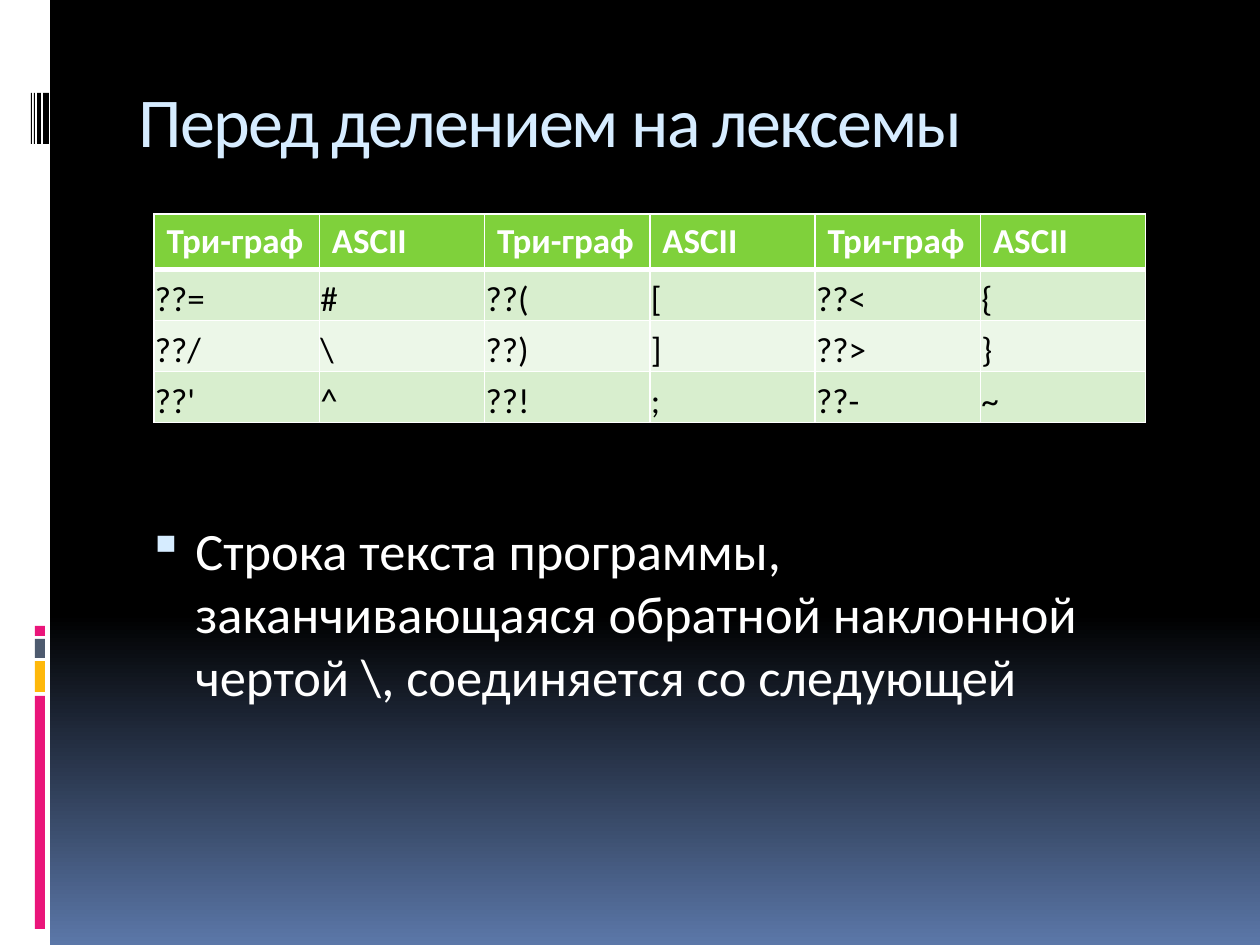
from lxml.etree import SubElement
from pptx import Presentation
from pptx.dml.color import RGBColor
from pptx.enum.shapes import MSO_SHAPE
from pptx.enum.text import MSO_ANCHOR, MSO_AUTO_SIZE, PP_ALIGN
from pptx.oxml.ns import qn
from pptx.util import Emu, Pt

# Content
TITLE = "Перед делением на лексемы"
BODY = "Строка текста программы, заканчивающаяся обратной наклонной чертой \\, соединяется со следующей"
TRIGRAPHS = [
    ["Три-граф", "ASCII"] * 3,
    ["??=", "#", "??(", "[", "??<", "{"],
    ["??/", "\\", "??)", "]", "??>", "}"],
    ["??'", "^", "??!", ";", "??-", "~"],
]

THEME = {
    "font": "Calibri", "title_size": 40, "body_size": 30, "table_size": 20,
    "white": "FFFFFF", "black": "000000", "sky": "D6ECFF", "horizon": "5B77A8",
    "pink": "EA157A", "amber": "FEB80A", "slate": "4E5B6F",
    "header": "7FD13B", "odd_row": "D8EECE", "even_row": "ECF7E8",
}

# Side decoration: left, top, width, height, colour
SIDE_BARS = [
    (0, 0, 50, 945, "white"),
    (35, 696, 10, 233, "pink"),
    (35, 661, 10, 31, "amber"),
    (35, 639, 10, 19, "slate"),
    (35, 626, 10, 10, "pink"),
] + [(left, 93, width, 51, "black")
     for left, width in [(43, 6), (37, 4), (34, 1), (31, 1)]]

TITLE_BOX = (126, 71, 1071, 126)
BODY_BOX = (126, 512, 1071, 364)
TABLE_LEFT, TABLE_TOP, TABLE_WIDTH = 154, 214, 992
HEADER_HEIGHT, ROW_HEIGHT = 55, 51
BULLET_INDENT, BULLET_HANG = 57, 48


def px(length):
    return Emu(round(length * 914400 / 126))


def colour(key):
    return RGBColor.from_string(THEME[key])


def style(paragraph, size, key, bold=False):
    font = paragraph.font
    font.name, font.size, font.bold = THEME["font"], Pt(THEME[size]), bold
    font.color.rgb = colour(key)


def place(box, bounds):
    box.left, box.top, box.width, box.height = map(px, bounds)
    frame = box.text_frame
    frame.word_wrap = True
    frame.auto_size = MSO_AUTO_SIZE.NONE
    frame.vertical_anchor = MSO_ANCHOR.TOP
    return frame


def add_colour(parent, key):
    SubElement(parent, qn("a:srgbClr"), val=THEME[key])


def set_borders(cell, widths):
    properties = cell._tc.get_or_add_tcPr()
    for index, (side, points) in enumerate(widths.items()):
        line = SubElement(properties, qn("a:" + side), w=str(Pt(points)))
        add_colour(SubElement(line, qn("a:solidFill")), "white")
        properties.insert(index, line)


prs = Presentation()
prs.slide_width, prs.slide_height = px(1260), px(945)
slide = prs.slides.add_slide(prs.slide_layouts[5])

# Background
sky_fill = slide.background.fill
sky_fill.gradient()
sky_fill.gradient_angle = 270
for stop, position, key in zip(sky_fill.gradient_stops, (0.65, 1), ("black", "horizon")):
    stop.position = position
    stop.color.rgb = colour(key)

# Side decoration
for *bounds, key in SIDE_BARS:
    bar = slide.shapes.add_shape(MSO_SHAPE.RECTANGLE, *map(px, bounds))
    bar.shadow.inherit = False
    bar.fill.solid()
    bar.fill.fore_color.rgb = colour(key)
    bar.line.fill.background()

# Title
title_frame = place(slide.shapes.title, TITLE_BOX)
title_frame.text = TITLE
heading = title_frame.paragraphs[0]
heading.alignment = PP_ALIGN.LEFT
style(heading, "title_size", "sky")
heading._p.pPr.find(qn("a:defRPr")).set("spc", "-100")

# Bulleted text
body_frame = place(slide.shapes.add_textbox(0, 0, 0, 0), BODY_BOX)
body_frame.text = BODY
statement = body_frame.paragraphs[0]
style(statement, "body_size", "white")
statement.space_before = Pt(7)
bullet = statement._p.get_or_add_pPr()
bullet.set("marL", str(px(BULLET_INDENT)))
bullet.set("indent", str(-px(BULLET_HANG)))
bullet_parts = [SubElement(bullet, qn("a:buClr")),
                SubElement(bullet, qn("a:buSzPct"), val="95000"),
                SubElement(bullet, qn("a:buChar"), char="▪")]
add_colour(bullet_parts[0], "sky")
for part in bullet_parts:
    bullet.find(qn("a:defRPr")).addprevious(part)

# Trigraph table
row_heights = [HEADER_HEIGHT] + [ROW_HEIGHT] * (len(TRIGRAPHS) - 1)
table = slide.shapes.add_table(
    len(TRIGRAPHS), len(TRIGRAPHS[0]), px(TABLE_LEFT), px(TABLE_TOP),
    px(TABLE_WIDTH), px(sum(row_heights))).table
for column in table.columns:
    column.width = px(TABLE_WIDTH / len(TRIGRAPHS[0]))
for r, (values, height) in enumerate(zip(TRIGRAPHS, row_heights)):
    table.rows[r].height = px(height)
    is_header = r == 0
    fill_key = "header" if is_header else "odd_row" if r % 2 else "even_row"
    for c, value in enumerate(values):
        cell = table.cell(r, c)
        cell.text = value
        style(cell.text_frame.paragraphs[0], "table_size",
              "white" if is_header else "black", is_header)
        cell.fill.solid()
        cell.fill.fore_color.rgb = colour(fill_key)
        if not is_header:
            cell.vertical_anchor = MSO_ANCHOR.BOTTOM
            cell.margin_left = cell.margin_right = cell.margin_top = px(1)
            cell.margin_bottom = 0
        set_borders(cell, {"lnL": 1, "lnR": 1, "lnT": 3 if r == 1 else 1,
                           "lnB": 3 if is_header else 1})

prs.save("out.pptx")
